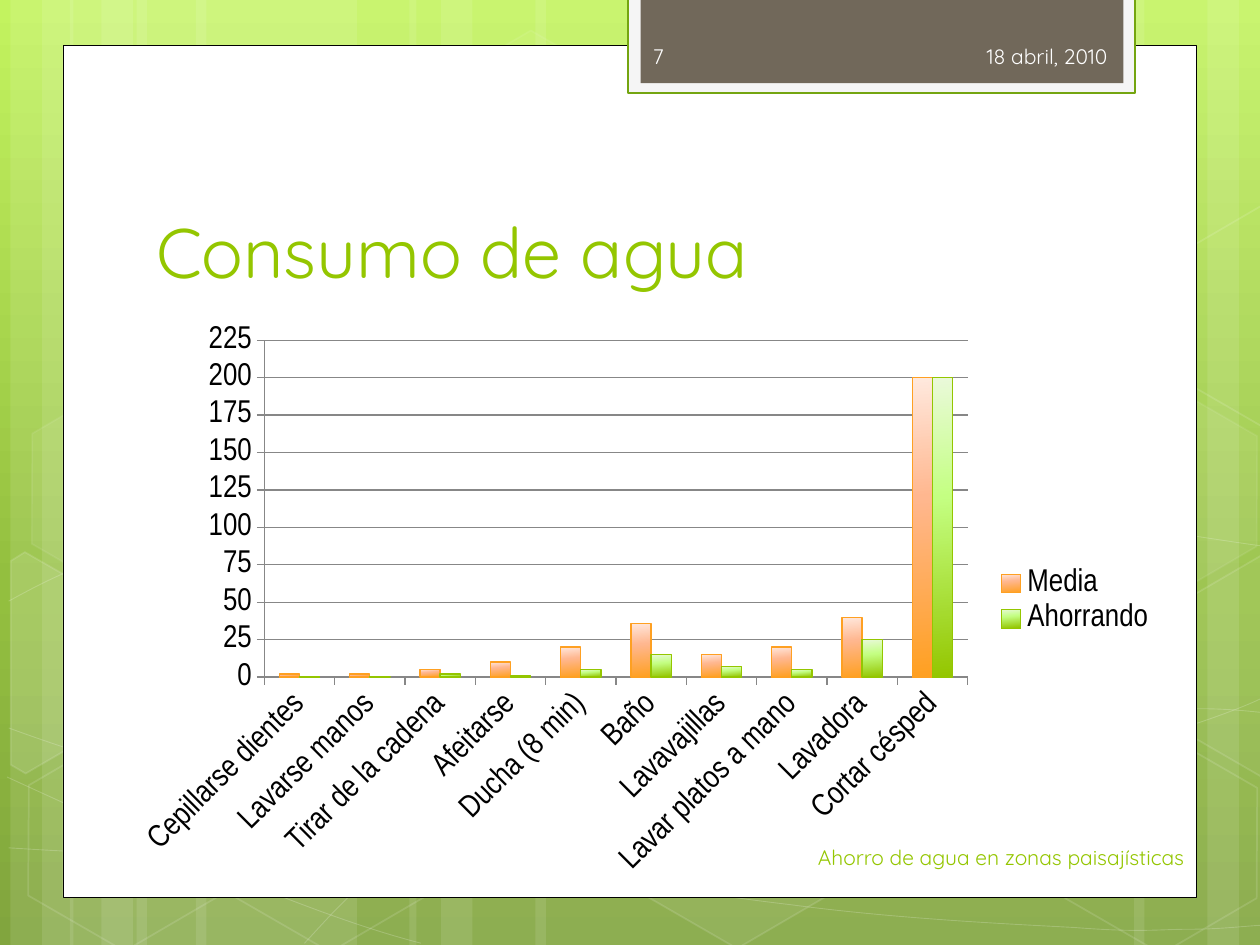
from math import cos, radians, sin

from lxml import etree
from pptx import Presentation
from pptx.chart.data import CategoryChartData
from pptx.dml.color import RGBColor
from pptx.enum.chart import XL_CHART_TYPE, XL_LEGEND_POSITION, XL_TICK_MARK
from pptx.enum.shapes import MSO_SHAPE
from pptx.enum.text import MSO_ANCHOR, PP_ALIGN
from pptx.oxml.ns import qn
from pptx.util import Pt

RECTANGLE, HEXAGON = MSO_SHAPE.RECTANGLE, MSO_SHAPE.HEXAGON
LEFT, RIGHT = PP_ALIGN.LEFT, PP_ALIGN.RIGHT
MIDDLE, BOTTOM = MSO_ANCHOR.MIDDLE, MSO_ANCHOR.BOTTOM
COLUMNS = XL_CHART_TYPE.COLUMN_CLUSTERED

WIDTH, HEIGHT = 720, 540
TILT = 30
THEME = {
    "white": "FFFFFF", "ink": "000000", "green": "94C600", "tab_text": "FEFEFE",
    "tab_frame": "F5F5F5", "tab_line": "74A510", "tab": "71685A", "grid": "878787",
    "background": [(0, "C3F35F"), (62, "93BF3F"), (100, "81A53E")],
    "font": "Quicksand", "chart_font": "Arial Narrow",
    "title_size": 40, "chart_size": 18, "small_size": 12,
}

TITLE = "Consumo de agua"
LABELS = [  # text, box, alignment, colour
    ("18 abril, 2010", (472, 17.5, 168, 29), RIGHT, "tab_text"),
    ("Ahorro de agua en zonas paisajísticas", (408, 475, 276, 29), RIGHT, "green"),
    ("7", (366, 17.5, 105, 29), LEFT, "tab_text"),
]
CATEGORIES = ["Cepillarse dientes", "Lavarse manos", "Tirar de la cadena", "Afeitarse",
              "Ducha (8 min)", "Baño", "Lavavajillas", "Lavar platos a mano",
              "Lavadora", "Cortar césped"]
SERIES = [  # name, values, gradient, outline
    ("Media", (2, 2, 5, 10, 20, 36, 15, 20, 40, 200),
     [(0, "FFE9DE"), (40, "FFB78F"), (100, "FFA021")], "FEA022"),
    ("Ahorrando", (0.5, 0.5, 2, 1, 5, 15, 7, 5, 25, 200),
     [(0, "EAF9DA"), (40, "C4FF82"), (100, "94C600")], "94C600"),
]
CHART_BOX = (72, 180, 596, 327)
PLOT_BOX = (151, 194.5, 402, 192.5)

STREAKS = [(78, 126), (6, 36), (24, 60), (112, 126), (40, 36), (58, 60),
           (528, 126), (690, 36), (648, 60), (306, 222), (234, 36), (252, 60)]
CURVES = [  # start point, then Bézier segments
    [(5, 484.5), (44, 487, 83, 489, 137, 488), (191, 487, 258, 486, 330, 479),
     (402, 472, 504, 458, 570, 444), (636, 430, 703, 409, 725, 397)],
    [(5, 343.5), (26, 332, 47, 321, 87, 310), (128, 300, 186, 284, 250, 279),
     (314, 274, 392, 273, 471, 279), (550, 284, 682, 307, 725, 312.5)],
    [(4, 444), (91, 484, 178, 523, 240.5, 539)],
    [(5, 416), (27, 424, 50, 432, 92, 443.5), (134, 454, 197, 472, 257, 485),
     (317, 497, 392, 510, 452, 517), (512, 525, 576, 528, 614, 530),
     (652, 533, 662, 531, 680, 531), (699, 531, 712, 529, 725, 528.5)],
    [(174, 539), (187, 525, 200, 510, 217, 497.5), (235, 485, 259, 470, 279, 460),
     (300, 450, 312, 446, 338, 438.5), (364, 431, 413, 421, 438, 416),
     (464, 411, 467, 411, 490, 410), (512, 407, 547, 405, 572, 405),
     (597, 404, 638, 405, 638, 405), (654, 405, 670, 405, 686, 405),
     (699, 405, 711, 406, 724, 407.5)],
]
HEXAGON_SIZE = (126, 109.5)
HEXAGONS = [  # left, top, fill opacity, line opacity
    (240.5, 26, 4, 8), (358, 424, 6, 12), (8, 425.5, 0, 12), (10, 224.5, 7, 8),
    (125.5, 426, 0, 12), (542, 326, 10, 12), (600.5, 427, 0, 12), (600.5, 226, 7, 8),
]
CUT_HEXAGONS = [  # centre, corners, fill opacity
    ((26, 385), [(6, 320.5), (14, 315.5), (69, 347), (68.5, 410.5), (14.5, 442), (6, 437)], 10),
    ((709, 374.5), [(667, 349), (721, 317.5), (726.5, 321), (726.5, 441.5), (721.5, 444),
                    (667, 412.5)], 4),
    ((709, 173.5), [(667, 149), (721, 117.5), (727, 121), (726.5, 241), (721.5, 244),
                    (667, 212.5)], 0),
]
PANELS = [  # box, fill, line, line width
    ((36, 26, 648, 487), "white", "ink", 0.5),
    ((359, -1.5, 289.5, 54.5), "tab_frame", "tab_line", 1.25),
    ((366, -1.5, 276, 49), "tab", None, 0),
]


def rgb(name):
    """Return a colour from a theme name or a hex value."""
    return RGBColor.from_string(THEME.get(name, name))


def points(values):
    """Convert numbers to lengths in points."""
    return [Pt(value) for value in values]


def paint(fill, holder, color, opacity=100):
    """Fill with one colour at the given opacity, or with nothing."""
    if not color or not opacity:
        fill.background()
        return
    fill.solid()
    fill.fore_color.rgb = rgb(color)
    if opacity < 100:
        code = holder.find(qn("a:solidFill")).find(qn("a:srgbClr"))
        etree.SubElement(code, qn("a:alpha")).set("val", str(opacity * 1000))


def style(shape, color, opacity=100, line=None, width=0, line_opacity=100):
    """Set fill and outline and drop the shadow."""
    shape.shadow.inherit = False
    properties = shape._element.spPr
    paint(shape.fill, properties, color, opacity)
    shape.line.width = Pt(width)
    paint(shape.line.fill, properties.find(qn("a:ln")), line, line_opacity)


def set_gradient(fill, holder, stops, angle):
    """Fill with a linear gradient through the stops."""
    fill.gradient()
    fill.gradient_angle = 360 - angle
    stop_list = holder.find(".//" + qn("a:gsLst"))
    for old_stop in list(stop_list):
        stop_list.remove(old_stop)
    for position, color in stops:
        stop = etree.SubElement(stop_list, qn("a:gs"), pos=str(position * 1000))
        etree.SubElement(stop, qn("a:srgbClr"), val=color)


def add_outline(page, corners, close):
    """Add a freeform through the corners."""
    corners = [points(corner) for corner in corners]
    builder = page.shapes.build_freeform(*corners[0], scale=1.0)
    builder.add_line_segments(corners[1:], close=close)
    return builder.convert_to_shape()


def add_curve(page, start, segments):
    """Add an open freeform and join each three of its points into a Bézier."""
    corners = [start] + [part[i:i + 2] for part in segments for i in (0, 2, 4)]
    curve = add_outline(page, corners, False)
    lines = list(curve._element.iter(qn("a:lnTo")))
    for first in range(0, len(lines), 3):
        bezier = etree.Element(qn("a:cubicBezTo"))
        lines[first].addprevious(bezier)
        for line in lines[first:first + 3]:
            bezier.append(line[0])
            line.getparent().remove(line)
    return curve


def add_cut_hexagon(page, center, corners):
    """Add a tilted outline whose corners end up at the given places."""
    (x0, y0), c, s = center, cos(radians(TILT)), sin(radians(TILT))
    level = [(x0 + (x - x0) * c + (y - y0) * s, y0 - (x - x0) * s + (y - y0) * c)
             for x, y in corners]
    shape = add_outline(page, level, True)
    shape.rotation = TILT
    return shape


def write(shape, text, size, color, align, anchor):
    """Put one formatted line of text into a shape."""
    frame = shape.text_frame
    frame.text = text
    frame.word_wrap = True
    frame.vertical_anchor = anchor
    frame.paragraphs[0].alignment = align
    font = frame.paragraphs[0].runs[0].font
    font.name, font.size, font.color.rgb = THEME["font"], Pt(THEME[size]), rgb(color)


def add_decor(page):
    """Draw the background, its pattern, the white panel and the tab."""
    set_gradient(page.background.fill, page._element, THEME["background"], 90)
    for left, width in STREAKS:
        streak = page.shapes.add_shape(RECTANGLE, *points((left, 0, width, HEIGHT)))
        style(streak, "white", 10)
    for start, *segments in CURVES:
        style(add_curve(page, start, segments), None, 0, "white", 0.5, 20)
    for left, top, opacity, line_opacity in HEXAGONS:
        hexagon = page.shapes.add_shape(HEXAGON, *points((left, top, *HEXAGON_SIZE)))
        hexagon.rotation = TILT
        hexagon.adjustments[0] = 0.285
        style(hexagon, "white", opacity, "white", 1, line_opacity)
    for center, corners, opacity in CUT_HEXAGONS:
        style(add_cut_hexagon(page, center, corners), "white", opacity, "white", 1, 12)
    for box, color, line, width in PANELS:
        style(page.shapes.add_shape(RECTANGLE, *points(box)), color, 100, line, width)


def place_plot(chart):
    """Fix the inner plot area inside the chart."""
    area = chart._chartSpace.find(".//" + qn("c:plotArea"))
    for old_layout in area.findall(qn("c:layout")):
        area.remove(old_layout)
    layout = etree.Element(qn("c:layout"))
    area.insert(0, layout)
    manual = etree.SubElement(layout, qn("c:manualLayout"))
    (left, top, width, height), (x, y, w, h) = CHART_BOX, PLOT_BOX
    settings = {"layoutTarget": "inner", "xMode": "edge", "yMode": "edge",
                "x": (x - left) / width, "y": (y - top) / height,
                "w": w / width, "h": h / height}
    for tag, value in settings.items():
        etree.SubElement(manual, qn("c:" + tag), val=str(value))


def add_water_chart(page):
    """Add the column chart of water use."""
    data = CategoryChartData()
    data.categories = CATEGORIES
    for name, values, _, _ in SERIES:
        data.add_series(name, values)
    chart = page.shapes.add_chart(COLUMNS, *points(CHART_BOX), data).chart
    chart.has_title, chart.has_legend = False, True
    chart.legend.position = XL_LEGEND_POSITION.RIGHT
    chart.legend.include_in_layout = False
    category_axis, value_axis = chart.category_axis, chart.value_axis
    for part in (chart, chart.legend, category_axis.tick_labels, value_axis.tick_labels):
        part.font.name, part.font.size = THEME["chart_font"], Pt(THEME["chart_size"])
        part.font.color.rgb = rgb("ink")
    value_axis.minimum_scale, value_axis.maximum_scale, value_axis.major_unit = 0, 225, 25
    for axis in (category_axis, value_axis):
        axis.major_tick_mark = XL_TICK_MARK.OUTSIDE
        axis.format.line.color.rgb = rgb("grid")
    value_axis.major_gridlines.format.line.color.rgb = rgb("grid")
    category_axis._element.find(qn("c:txPr")).find(qn("a:bodyPr")).set("rot", "-2700000")
    plot = chart.plots[0]
    plot.gap_width, plot.overlap, plot.vary_by_categories = 150, 0, False
    for series, (_, _, stops, line) in zip(plot.series, SERIES):
        set_gradient(series.format.fill, series._element, stops, 84)
        series.format.line.color.rgb = rgb(line)
        series.format.line.width = Pt(0.75)
    place_plot(chart)


deck = Presentation()
deck.slide_width, deck.slide_height = Pt(WIDTH), Pt(HEIGHT)
page = deck.slides.add_slide(deck.slide_layouts[5])
add_decor(page)
title = page.shapes.title
title.left, title.top, title.width, title.height = points((82, 80.5, 553, 90))
write(title, TITLE, "title_size", "green", LEFT, BOTTOM)
page.shapes._spTree.append(title._element)
add_water_chart(page)
for text, box, align, color in LABELS:
    write(page.shapes.add_textbox(*points(box)), text, "small_size", color, align, MIDDLE)
deck.save("out.pptx")
